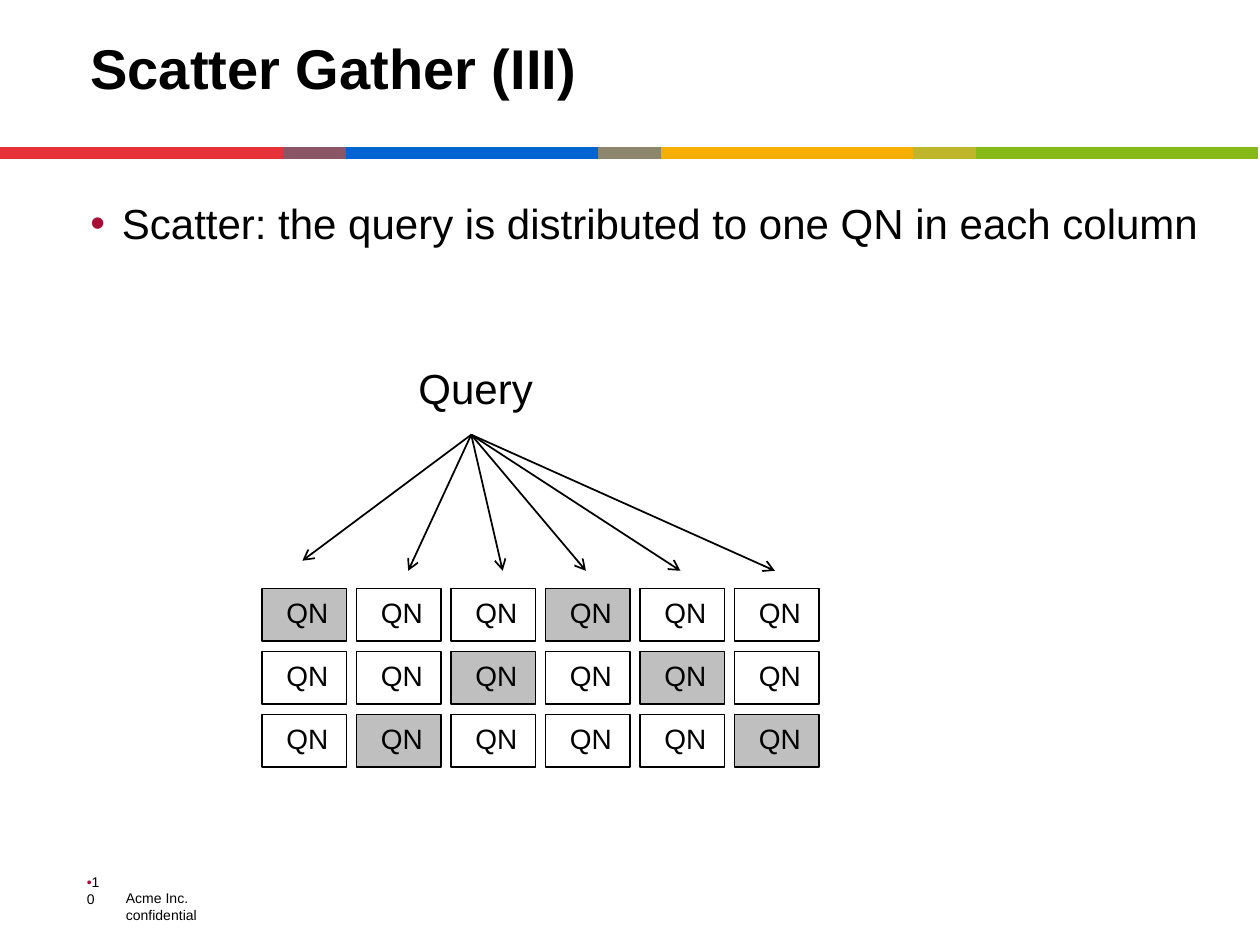
from itertools import pairwise, product
from typing import NamedTuple

from lxml import etree
from pptx import Presentation
from pptx import util as u
from pptx.dml.color import RGBColor
from pptx.enum import shapes, text
from pptx.oxml.ns import qn

PX = 9144  # EMU per px, 100 px to the inch
FONT = "Arial"
BLACK = RGBColor(0x00, 0x00, 0x00)
GRAY = RGBColor(0xBF, 0xBF, 0xBF)
CRIMSON = RGBColor(0xA8, 0x0C, 0x35)
STRIPE_COLORS = [
    RGBColor(0xE5, 0x32, 0x38), RGBColor(0x8A, 0x56, 0x66),
    RGBColor(0x00, 0x64, 0xD2), RGBColor(0x8D, 0x86, 0x6D),
    RGBColor(0xF5, 0xAF, 0x02), RGBColor(0xBF, 0xB6, 0x2B),
    RGBColor(0x86, 0xB8, 0x17),
]
STRIPE_EDGES = [0, 225, 275, 475, 525, 725, 775, 998]

# Query node grid
ROWS, COLUMNS = 3, 6
GRID_LEFT, GRID_TOP = 208, 467
COLUMN_STEP, ROW_STEP = 75, 50
CHOSEN_ROWS = [0, 2, 1, 0, 1, 2]  # the node queried in each column

QUERY_POINT = (374, 345)
ARROW_TIPS = [(240, 445), (324, 453), (399, 453), (465, 453), (540, 453), (615, 453)]


class Area(NamedTuple):
    left: int
    top: int
    width: int
    height: int

    def emu(self) -> list[int]:
        return [value * PX for value in self]


class Label(NamedTuple):
    words: str
    area: Area
    size: int
    bold: bool = False
    align: text.PP_ALIGN = text.PP_ALIGN.LEFT
    anchor: text.MSO_ANCHOR = text.MSO_ANCHOR.TOP
    line_spacing: float = 1.0
    bullet: bool = False
    indent: int = 0


def add_bullet(para, indent: int) -> None:
    props = para._p.get_or_add_pPr()
    props.set("marL", str(indent * PX))
    props.set("indent", str(-indent * PX))
    color = etree.SubElement(props, qn("a:buClr"))
    etree.SubElement(color, qn("a:srgbClr"), val=str(CRIMSON))
    etree.SubElement(props, qn("a:buFont"), typeface=FONT)
    etree.SubElement(props, qn("a:buChar"), char="•")


def add_label(page, label: Label) -> None:
    frame = page.shapes.add_textbox(*label.area.emu()).text_frame
    frame.word_wrap = True
    frame.vertical_anchor = label.anchor
    para = frame.paragraphs[0]
    para.alignment = label.align
    para.line_spacing = label.line_spacing
    if label.bullet:
        add_bullet(para, label.indent)
    span = para.add_run()
    span.text = label.words
    span.font.name = FONT
    span.font.size = u.Pt(label.size)
    span.font.bold = label.bold
    span.font.color.rgb = BLACK


def add_rectangle(page, area: Area, fill: RGBColor | None,
                  line: RGBColor, weight: float) -> None:
    box = page.shapes.add_shape(shapes.MSO_SHAPE.RECTANGLE, *area.emu())
    box.shadow.inherit = False
    if fill is None:
        box.fill.background()
    else:
        box.fill.solid()
        box.fill.fore_color.rgb = fill
    box.line.color.rgb = line
    box.line.width = u.Pt(weight)


def add_arrow(page, start: tuple[int, int], tip: tuple[int, int]) -> None:
    ends = [value * PX for value in start + tip]
    arrow = page.shapes.add_connector(shapes.MSO_CONNECTOR.STRAIGHT, *ends)
    arrow.line.color.rgb = BLACK
    arrow.line.width = u.Pt(1)
    etree.SubElement(arrow.line._get_or_add_ln(), qn("a:tailEnd"), type="arrow")
    etree.SubElement(arrow._element.spPr, qn("a:effectLst"))


def add_query_node(page, row: int, column: int) -> None:
    left = GRID_LEFT + column * COLUMN_STEP
    top = GRID_TOP + row * ROW_STEP
    fill = GRAY if CHOSEN_ROWS[column] == row else None
    add_rectangle(page, Area(left, top, 67, 42), fill, BLACK, 1)
    add_label(page, Label("QN", Area(left + 7, top + 3, 58, 36), 16,
                          align=text.PP_ALIGN.CENTER, line_spacing=0.95))


def main() -> None:
    deck = Presentation()
    deck.slide_width, deck.slide_height = 1000 * PX, 750 * PX
    page = deck.slides.add_slide(deck.slide_layouts[6])

    # Colour stripe under the title
    for (left, right), color in zip(pairwise(STRIPE_EDGES), STRIPE_COLORS):
        add_rectangle(page, Area(left, 117, right - left, 9), color, color, 0.75)

    # Title, statement, footer and query
    labels = [
        Label("Scatter Gather (III)", Area(62, 12, 888, 79), 32, bold=True,
              anchor=text.MSO_ANCHOR.MIDDLE, line_spacing=1.07),
        Label("Scatter: the query is distributed to one QN in each column",
              Area(62, 150, 904, 58), 24, line_spacing=1.05, bullet=True, indent=25),
        Label("Acme Inc. confidential", Area(90, 701, 119, 23), 8),
        Label("10", Area(59, 700, 35, 25), 8,
              anchor=text.MSO_ANCHOR.BOTTOM, bullet=True),
        Label("Query", Area(315, 286, 125, 49), 24,
              align=text.PP_ALIGN.CENTER, line_spacing=0.95),
    ]
    for label in labels:
        add_label(page, label)

    # Query nodes and the arrows to each column
    for row, column in product(range(ROWS), range(COLUMNS)):
        add_query_node(page, row, column)
    for tip in ARROW_TIPS:
        add_arrow(page, QUERY_POINT, tip)

    deck.save("out.pptx")


if __name__ == "__main__":
    main()
